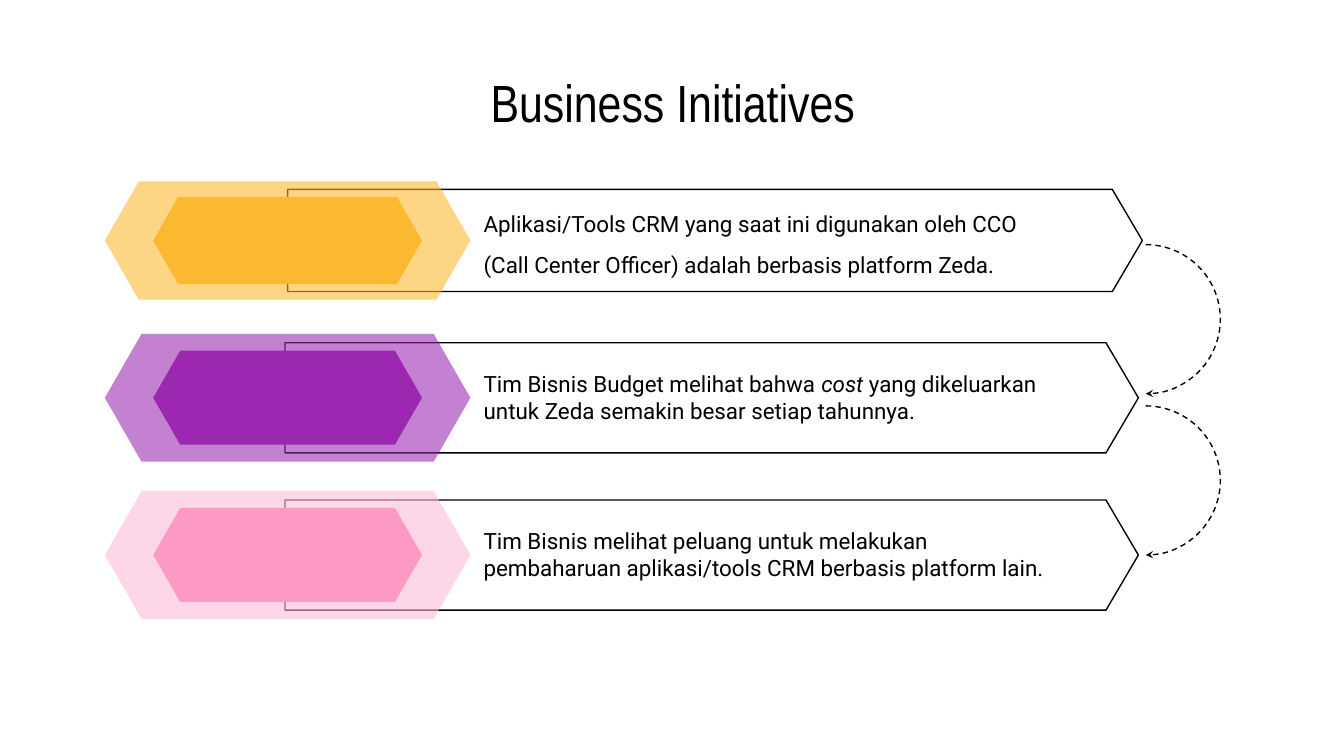
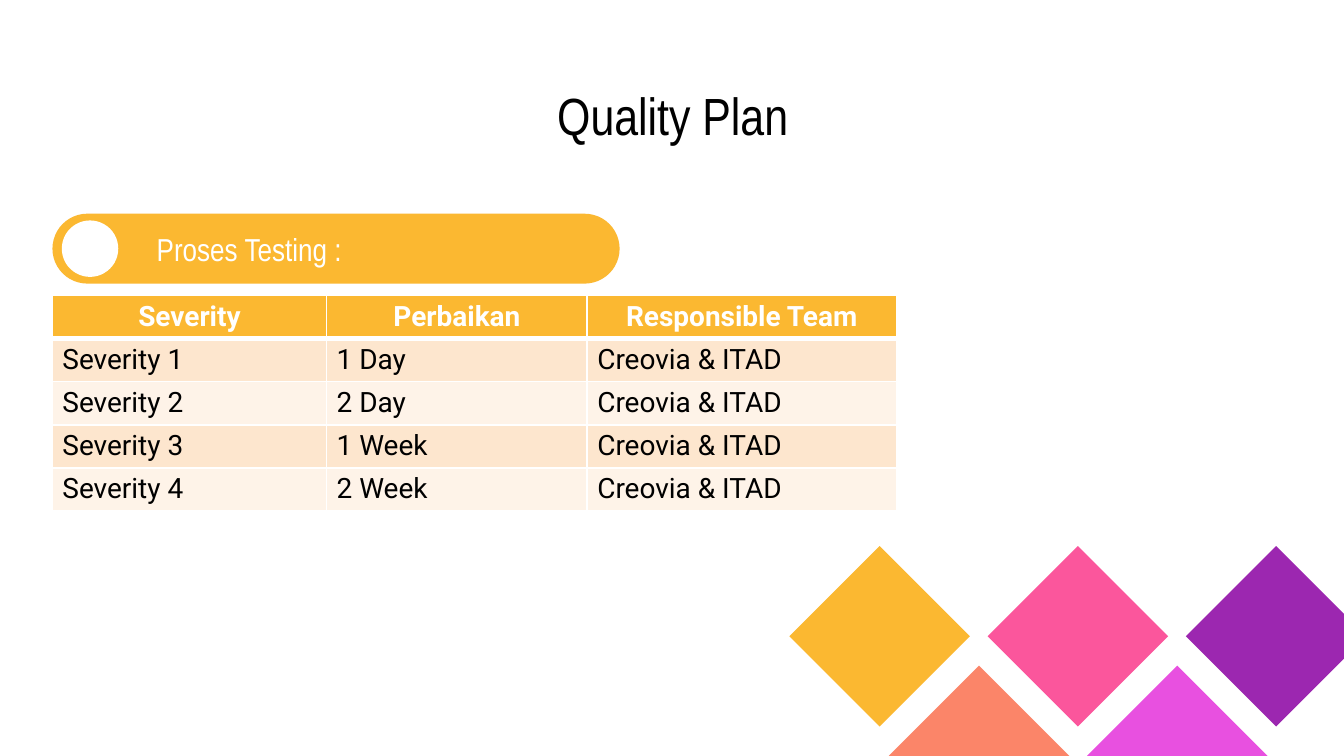
from lxml import etree
from pptx import Presentation
from pptx.dml.color import RGBColor
from pptx.enum.dml import MSO_LINE
from pptx.enum.shapes import MSO_SHAPE
from pptx.enum.text import MSO_ANCHOR, MSO_AUTO_SIZE, PP_ALIGN
from pptx.oxml.ns import qn
from pptx.util import Inches, Pt

HEXAGON, PENTAGON, ARC = MSO_SHAPE.HEXAGON, MSO_SHAPE.PENTAGON, MSO_SHAPE.ARC
RECTANGLE, PILL, OVAL = MSO_SHAPE.RECTANGLE, MSO_SHAPE.ROUNDED_RECTANGLE, MSO_SHAPE.OVAL
TOP, MIDDLE = MSO_ANCHOR.TOP, MSO_ANCHOR.MIDDLE
CENTER, LEFT = PP_ALIGN.CENTER, PP_ALIGN.LEFT
FIXED, DASH = MSO_AUTO_SIZE.NONE, MSO_LINE.DASH

THEME = {
    "black": "000000", "white": "FFFFFF", "amber": "FBB831", "purple": "9C27B0",
    "pink": "FD9AC4", "pale pink": "FDBBD7", "rose": "FB569C", "coral": "FB8569",
    "magenta": "E850E0", "odd row": "FDE6CE", "even row": "FEF3E8",
    "heading font": "Arial Narrow", "body font": "Roboto",
    "title size": 28, "banner size": 17, "table size": 15, "body size": 12,
}


def add_figure(page, kind, place, fill=None, outline=False, adjustments=()):
    figure = page.shapes.add_shape(kind, *map(Inches, place))
    figure.shadow.inherit = False
    for index, value in enumerate(adjustments):
        figure.adjustments[index] = value
    if fill:
        figure.fill.solid()
        figure.fill.fore_color.rgb = RGBColor.from_string(THEME[fill])
    else:
        figure.fill.background()
    if outline:
        figure.line.color.rgb = RGBColor.from_string(THEME["black"])
        figure.line.width = Pt(0.75)
    else:
        figure.line.fill.background()
    return figure


def style_text(frame, font, size, color, align=LEFT, inset=0.1):
    frame.word_wrap = True
    frame.auto_size = FIXED
    frame.vertical_anchor = MIDDLE
    frame.margin_left = Inches(inset)
    frame.margin_top = frame.margin_right = frame.margin_bottom = Inches(0.1)
    for para in frame.paragraphs:
        para.alignment = align
        for span in para.runs:
            span.font.name = THEME[font]
            span.font.size = Pt(THEME[size])
            span.font.color.rgb = RGBColor.from_string(THEME[color])


deck = Presentation()
deck.slide_width = Inches(10)
deck.slide_height = deck.slide_width * 9 // 16

pages = []
for heading, top in (("Business Initiatives", 0.49), ("Quality Plan", 0.59)):
    page = deck.slides.add_slide(deck.slide_layouts[5])
    title = page.shapes.title
    title.left, title.top, title.width, title.height = map(Inches, (0.78, top, 8.45, 0.53))
    title.text_frame.text = heading
    style_text(title.text_frame, "heading font", "title size", "black", CENTER)
    pages.append(page)
initiatives, quality = pages

rows = [
    {"middle": 1.79, "outer": 0.88, "inner": 0.65, "arrow": (2.14, 6.36, 0.76),
     "halo": "amber", "core": "amber", "opacity": 59, "backing": None,
     "text": (1.41, 5, 0.71), "spacing": 1.5,
     "paragraphs": [["Aplikasi/Tools CRM yang saat ini digunakan oleh CCO"],
                    ["(Call Center Officer) adalah berbasis platform Zeda."]]},
    {"middle": 2.96, "outer": 0.95, "inner": 0.7, "arrow": (2.12, 6.35, 0.82),
     "halo": "purple", "core": "purple", "opacity": 58, "backing": "white",
     "text": (2.6, 4.58, 0.71), "spacing": None,
     "paragraphs": [["Tim Bisnis Budget melihat bahwa ", "cost ",
                     "yang dikeluarkan untuk Zeda semakin besar setiap tahunnya."]]},
    {"middle": 4.13, "outer": 0.95, "inner": 0.7, "arrow": (2.12, 6.35, 0.82),
     "halo": "pale pink", "core": "pink", "opacity": 58, "backing": "white",
     "text": (3.88, 4.47, 0.49), "spacing": None,
     "paragraphs": [["Tim Bisnis melihat peluang untuk melakukan pembaharuan "
                     "aplikasi/tools CRM berbasis platform lain."]]},
]
for row in rows:
    left, width, height = row["arrow"]
    add_figure(initiatives, PENTAGON, (left, row["middle"] - height / 2, width, height),
               row["backing"], True, [0.294])
    halo = add_figure(initiatives, HEXAGON,
                      (0.78, row["middle"] - row["outer"] / 2, 2.72, row["outer"]),
                      row["halo"], adjustments=[0.287])
    tint = halo.fill._xPr.find(qn("a:solidFill"))[0]
    etree.SubElement(tint, qn("a:alpha"), val=str(row["opacity"] * 1000))
    add_figure(initiatives, HEXAGON,
               (1.14, row["middle"] - row["inner"] / 2, 2, row["inner"]),
               row["core"], adjustments=[0.287])
    top, width, height = row["text"]
    box = initiatives.shapes.add_textbox(*map(Inches, (3.5, top, width, height)))
    frame = box.text_frame
    for index, pieces in enumerate(row["paragraphs"]):
        para = frame.add_paragraph() if index else frame.paragraphs[0]
        if row["spacing"]:
            para.line_spacing = row["spacing"]
        for piece in pieces:
            span = para.add_run()
            span.text = piece
            span.font.italic = piece == "cost "
    style_text(frame, "body font", "body size", "black")

for top in (1.82, 3.02):
    arc = add_figure(initiatives, ARC, (7.97, top, 1.11, 1.11), None, True, [162, 53.964])
    arc.line.dash_style = DASH
    etree.SubElement(arc.line._get_or_add_ln(), qn("a:tailEnd"),
                     type="stealth", w="sm", len="sm")

severities = [("Severity", "Perbaikan", "Responsible Team")]
for level, repair in enumerate(("1 Day", "2 Day", "1 Week", "2 Week"), 1):
    severities.append((f"Severity {level}", repair, "Creovia & ITAD"))

table = quality.shapes.add_table(5, 3, *map(Inches, (0.39, 2.2, 6.28, 1.6))).table
for column, width in zip(table.columns, (2.04, 1.94, 2.3)):
    column.width = Inches(width)
for row_index, values in enumerate(severities):
    table.rows[row_index].height = Inches(0.32)
    header = row_index == 0
    fill = "amber" if header else "odd row" if row_index % 2 else "even row"
    for column_index, value in enumerate(values):
        cell = table.cell(row_index, column_index)
        cell.text_frame.text = value
        style_text(cell.text_frame, "body font", "table size",
                   "white" if header else "black", CENTER if header else LEFT)
        cell.text_frame.paragraphs[0].runs[0].font.bold = header
        cell.vertical_anchor = TOP
        cell.margin_left = cell.margin_right = Pt(5.4)
        cell.margin_top = cell.margin_bottom = Pt(2.7)
        properties = cell._tc.get_or_add_tcPr()
        for side in ("L", "R", "T", "B"):
            thick = (header and side == "B") or (row_index == 1 and side == "T")
            border = etree.SubElement(properties, qn(f"a:ln{side}"), w=str(Pt(3 if thick else 1)))
            paint = etree.SubElement(border, qn("a:solidFill"))
            etree.SubElement(paint, qn("a:srgbClr"), val=THEME["white"])
        cell.fill.solid()
        cell.fill.fore_color.rgb = RGBColor.from_string(THEME[fill])

banner = add_figure(quality, PILL, (0.39, 1.59, 4.22, 0.52), "amber", adjustments=[0.5])
banner.text_frame.text = "Proses Testing :"
style_text(banner.text_frame, "heading font", "banner size", "white", inset=0.7)
add_figure(quality, OVAL, (0.46, 1.64, 0.42, 0.42), "white")

diamond_rows = [(6.07, 4.26, ("amber", "rose", "purple")), (6.81, 5.15, ("coral", "magenta"))]
for left, top, colors in diamond_rows:
    for index, color in enumerate(colors):
        diamond = add_figure(quality, RECTANGLE, (left + index * 1.475, top, 0.95, 0.95), color)
        diamond.rotation = 45

deck.save("out.pptx")
